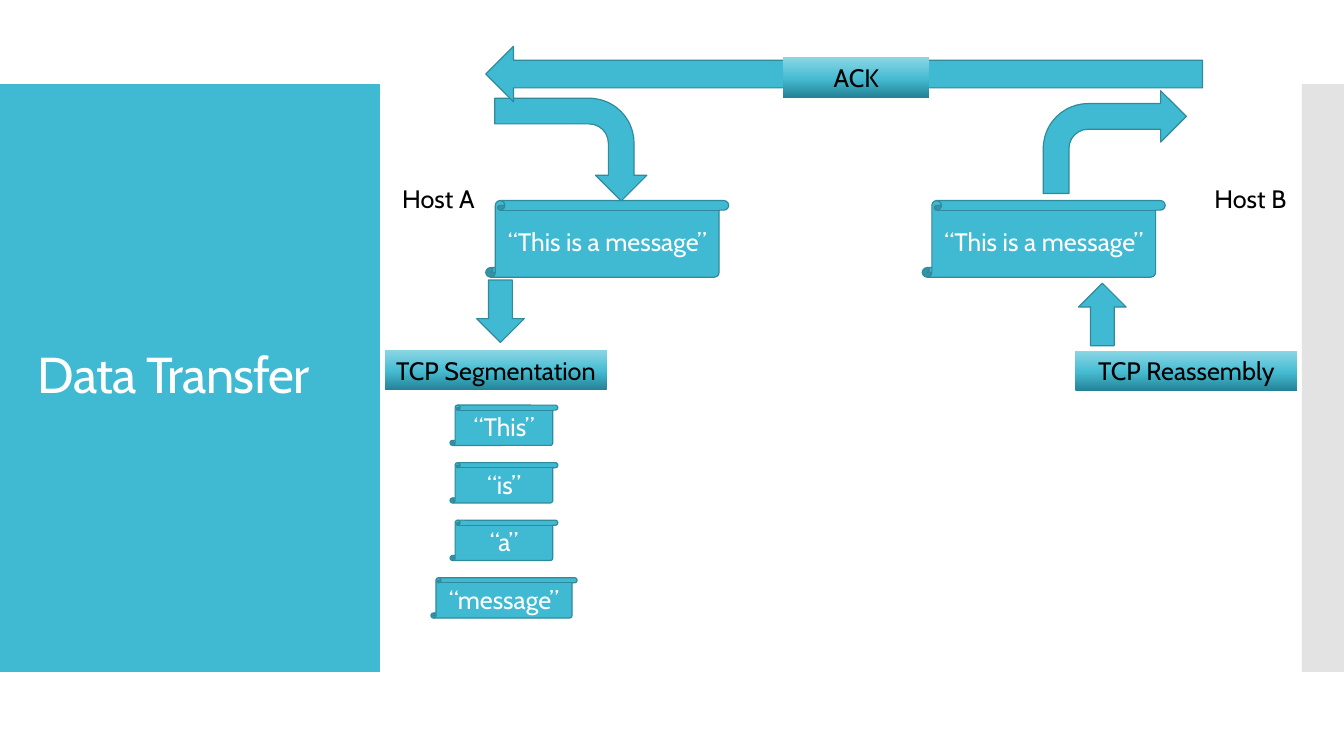
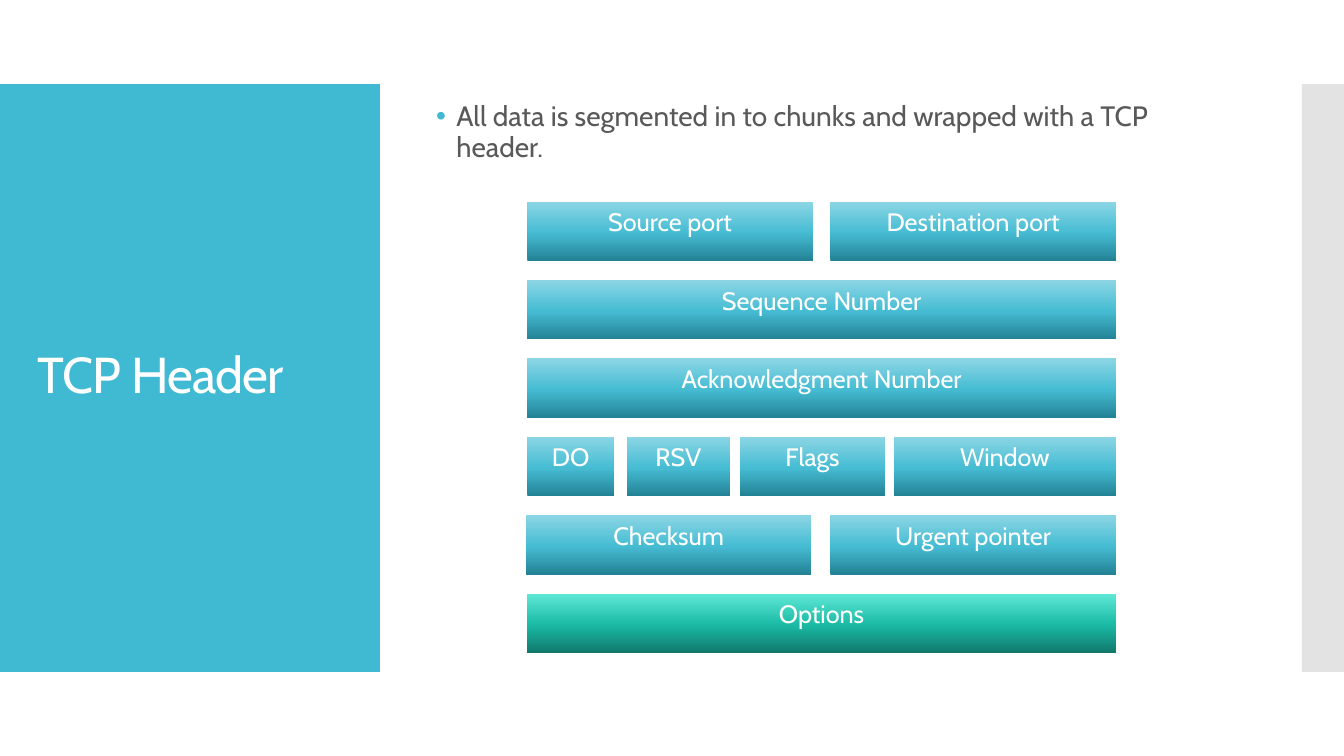
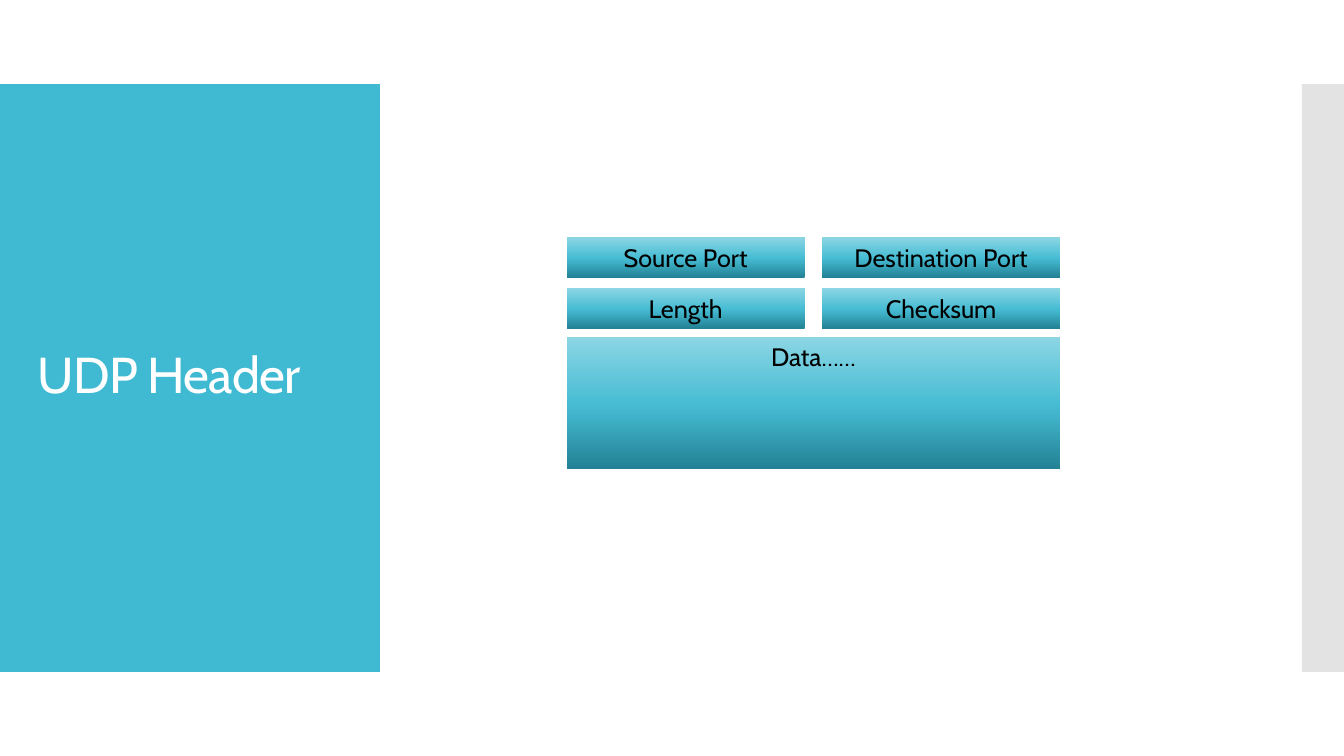
from lxml import etree
from pptx import Presentation
from pptx.dml.color import RGBColor
from pptx.enum.shapes import MSO_SHAPE
from pptx.enum.text import MSO_ANCHOR, PP_ALIGN
from pptx.oxml.ns import qn
from pptx.util import Pt

RECT = MSO_SHAPE.RECTANGLE
SCROLL = MSO_SHAPE.VERTICAL_SCROLL
BENT = MSO_SHAPE.BENT_ARROW
UP, DOWN, LEFT = MSO_SHAPE.UP_ARROW, MSO_SHAPE.DOWN_ARROW, MSO_SHAPE.LEFT_ARROW
TOP, MIDDLE = MSO_ANCHOR.TOP, MSO_ANCHOR.MIDDLE
ALIGN_LEFT, CENTER = PP_ALIGN.LEFT, PP_ALIGN.CENTER

FONT = "Cabin"
COLORS = {
    "accent": "40BAD2",
    "outline": "2F8A9B",
    "strip": "C8C8C8",
    "white": "FFFFFF",
    "black": "000000",
    "body": "595959",
}
BLUE_STOPS = ((0, "238295"), (48, "46BCD3"), (100, "8CD6E4"))
GREEN_STOPS = ((0, "11786B"), (48, "1BBBA6"), (100, "5FE8D6"))
LABEL_H = 28.8


def rgb(name):
    return RGBColor.from_string(COLORS[name])


def write(sp, text, color, size=18, align=CENTER, anchor=TOP):
    tf = sp.text_frame
    tf.word_wrap = True
    tf.vertical_anchor = anchor
    p = tf.paragraphs[0]
    p.alignment = align
    r = p.add_run()
    r.text = text
    r.font.name = FONT
    r.font.size = Pt(size)
    r.font.color.rgb = rgb(color)
    return p, r


def add_text(shapes, x, y, w, h, text, color, **style):
    sp = shapes.add_textbox(Pt(x), Pt(y), Pt(w), Pt(h))
    return write(sp, text, color, **style)


def add_shape(shapes, kind, x, y, w, h):
    sp = shapes.add_shape(kind, Pt(x), Pt(y), Pt(w), Pt(h))
    sp.shadow.inherit = False
    return sp


def add_panel(shapes, x, y, w, h, color):
    sp = add_shape(shapes, RECT, x, y, w, h)
    sp.fill.solid()
    sp.fill.fore_color.rgb = rgb(color)
    sp.line.fill.background()
    return sp


def add_outlined(shapes, kind, x, y, w, h, text=None):
    sp = add_shape(shapes, kind, x, y, w, h)
    sp.fill.solid()
    sp.fill.fore_color.rgb = rgb("accent")
    sp.line.color.rgb = rgb("outline")
    sp.line.width = Pt(0.85)
    if text:
        write(sp, text, "white", anchor=MIDDLE)
    return sp


def add_field(shapes, x, y, w, h, text, color, stops=BLUE_STOPS):
    sp = add_shape(shapes, RECT, x, y, w, h)
    sp.fill.gradient()
    sp.fill.gradient_angle = 90
    gs_lst = sp.element.spPr.find(qn("a:gradFill")).find(qn("a:gsLst"))
    for gs in list(gs_lst):
        gs_lst.remove(gs)
    for pos, value in stops:
        gs = etree.SubElement(gs_lst, qn("a:gs"), pos=str(pos * 1000))
        etree.SubElement(gs, qn("a:srgbClr"), val=value)
    sp.line.fill.background()
    write(sp, text, color)


def add_slide(prs, title):
    shapes = prs.slides.add_slide(prs.slide_layouts[6]).shapes
    add_panel(shapes, 0, 60, 271.3, 420, "accent")
    strip = add_panel(shapes, 930, 60, 30, 420, "strip")
    clr = strip.element.spPr.find(qn("a:solidFill"))[0]
    etree.SubElement(clr, qn("a:alpha"), val="50000")
    p, r = add_text(shapes, 20, 88.5, 232, 362, title, "white",
                    size=36, align=ALIGN_LEFT, anchor=MIDDLE)
    p.line_spacing = 0.9
    r.font._element.set("spc", "-60")
    return shapes


def draw_sender(shapes, x, y):
    add_text(shapes, x + 2, y + 95.5, 94.3, LABEL_H, "Host A", "black")
    add_field(shapes, x + 11, y + 218, 158.4, LABEL_H, "TCP Segmentation", "black")
    add_outlined(shapes, SCROLL, x + 83, y + 111.3, 173.5, 54.7, "“This is a message”")
    bent = add_outlined(shapes, BENT, x + 107, y + 20.5, 73.4, 108.7)
    bent.rotation = 90
    add_outlined(shapes, DOWN, x + 76.5, y + 168, 34, 44.6)
    segments = (("“This”", 77), ("“is”", 77), ("“a”", 77), ("“message”", 104.4))
    for i, (word, w) in enumerate(segments):
        add_outlined(shapes, SCROLL, x + 96 - w / 2, y + 257.4 + 41.1 * i,
                     w, LABEL_H, word)


def draw_receiver(shapes, x, y):
    add_text(shapes, x + 188, y + 95.5, 94.3, LABEL_H, "Host B", "black")
    add_field(shapes, x + 110.2, y + 218.6, 158.4, LABEL_H, "TCP Reassembly", "black")
    add_outlined(shapes, SCROLL, x + 0.8, y + 111.3, 173.5, 54.7, "“This is a message”")
    add_outlined(shapes, UP, x + 112.4, y + 170.3, 34, 44.6)
    add_outlined(shapes, BENT, x + 87.2, y + 32.8, 102.2, 73.4)


def draw_ack(shapes, x, y, w, h):
    add_outlined(shapes, LEFT, x, y, w, h)
    add_field(shapes, x + 212.4, y + 7.9, 104.4, LABEL_H, "ACK", "black")


def draw_bullet(shapes, x, y, w, h, text):
    p, r = add_text(shapes, x, y, w, h, text, "body",
                    size=20, align=ALIGN_LEFT, anchor=MIDDLE)
    p.line_spacing = 0.9
    p.space_before = Pt(12)
    pPr = p._p.get_or_add_pPr()
    pPr.set("marL", str(Pt(14.4)))
    pPr.set("indent", str(-Pt(14.4)))
    clr = etree.SubElement(pPr, qn("a:buClr"))
    etree.SubElement(clr, qn("a:srgbClr"), val=COLORS["accent"])
    etree.SubElement(pPr, qn("a:buFont"), typeface="Arial")
    etree.SubElement(pPr, qn("a:buChar"), char="•")


def draw_tcp_header(shapes, x, y, w):
    half = 204
    right = w - half
    rows = (
        (("Source port", 0, half), ("Destination port", right, half)),
        (("Sequence Number", 0, w),),
        (("Acknowledgment Number", 0, w),),
        (("DO", 0, 62), ("RSV", 71.3, 73.4), ("Flags", 152, 103.6), ("Window", 262, 158.5)),
        (("Checksum", -1, half), ("Urgent pointer", right, half)),
        (("Options", 0, w),),
    )
    group = shapes.add_group_shape().shapes
    for i, row in enumerate(rows):
        stops = GREEN_STOPS if i == len(rows) - 1 else BLUE_STOPS
        for text, left, width in row:
            add_field(group, x + left, y + 56 * i, width, 42.5, text, "white", stops)


def draw_udp_header(shapes, x, y, w):
    half = 170
    rows = (("Source Port", "Destination Port"), ("Length", "Checksum"))
    for i, row in enumerate(rows):
        for j, text in enumerate(row):
            add_field(shapes, x + (w - half) * j, y + 36.4 * i, half, LABEL_H,
                      text, "black")
    add_field(shapes, x, y + 71, w, 94.3, "Data……", "black")


def main():
    prs = Presentation()
    prs.slide_width, prs.slide_height = Pt(960), Pt(540)

    shapes = add_slide(prs, "Data Transfer")
    draw_sender(shapes, 264, 32)
    draw_receiver(shapes, 658, 32)
    draw_ack(shapes, 347, 33.1, 512, 39.6)

    shapes = add_slide(prs, "TCP Header")
    draw_bullet(shapes, 304.5, 67.7, 576, 54.7,
                "All data is segmented in to chunks and wrapped with a TCP header.")
    draw_tcp_header(shapes, 376.6, 144, 420.5)

    shapes = add_slide(prs, "UDP Header")
    draw_udp_header(shapes, 404.7, 169.5, 352.5)

    prs.save("out.pptx")


if __name__ == "__main__":
    main()
